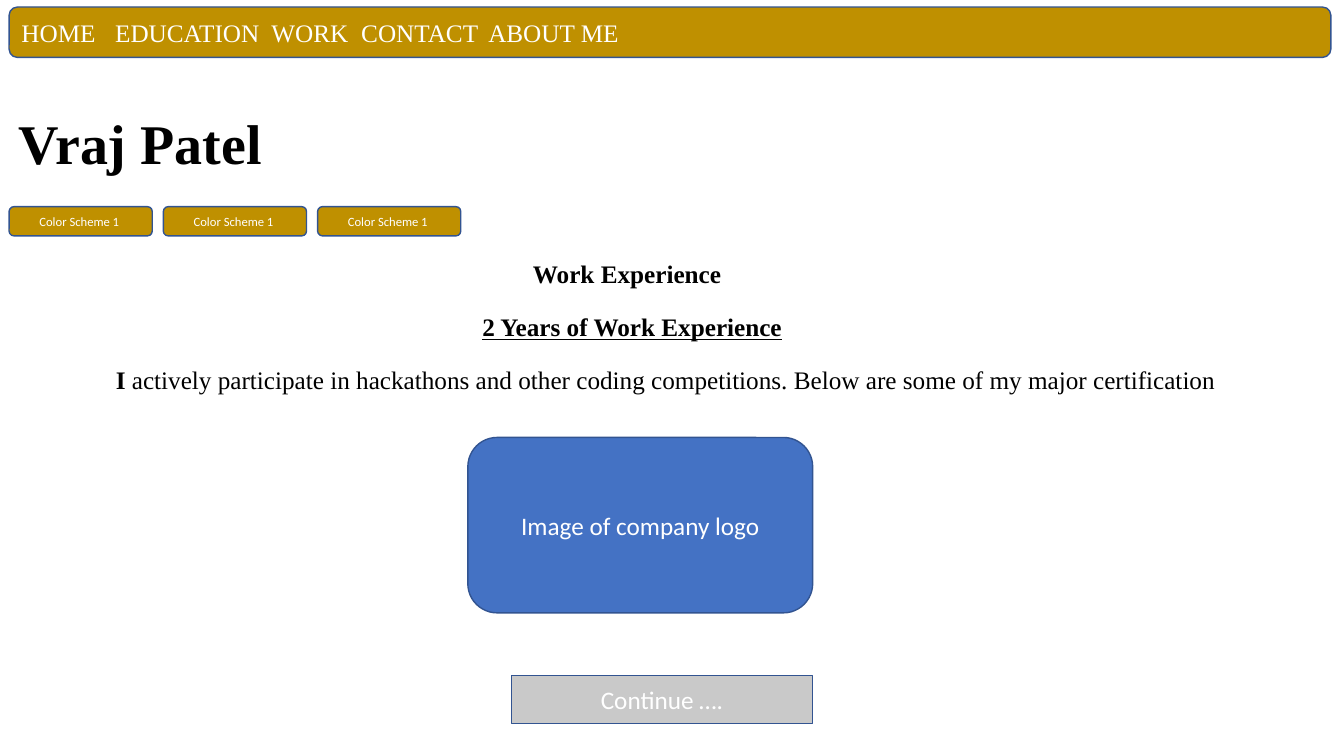
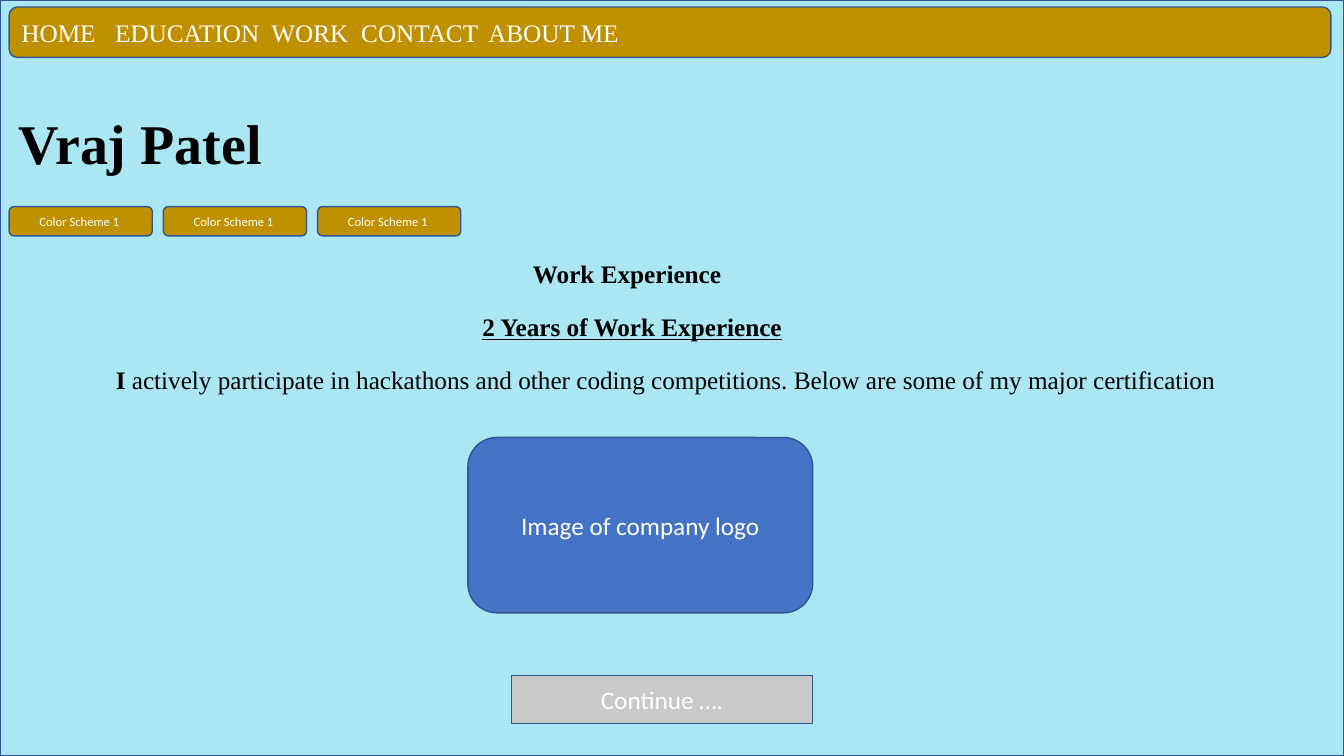
from lxml import etree
from pptx import Presentation
from pptx.dml.color import RGBColor
from pptx.enum.shapes import MSO_SHAPE as Shape
from pptx.enum.text import MSO_ANCHOR as Anchor, MSO_AUTO_SIZE as AutoSize, PP_ALIGN as Align
from pptx.oxml.ns import qn
from pptx.util import Pt

PX = 9144  # 100 px to the inch
SLIDE_WIDTH, SLIDE_HEIGHT = 1333, 750

WHITE = RGBColor(0xFF, 0xFF, 0xFF)
BLACK = RGBColor(0x00, 0x00, 0x00)
GOLD = RGBColor(0xBF, 0x90, 0x00)
BLUE = RGBColor(0x44, 0x72, 0xC4)
GREY = RGBColor(0xC9, 0xC9, 0xC9)
PALE_BLUE = RGBColor(0xAB, 0xE7, 0xF3)
OUTLINE = RGBColor(0x32, 0x54, 0x91)

SERIF, SANS = "Times New Roman", "Calibri"

MENU = ["HOME", "EDUCATION", "WORK", "CONTACT", "ABOUT ME"]
MENU_TABS = [93, 248, 337, 463]
COLOR_BUTTONS = ["Color Scheme 1 "] * 3
BUTTON_LEFT, BUTTON_PITCH = 9, 153


def to_emu(*lengths):
    return [length * PX for length in lengths]


def write_text(paragraph, text, *, size=18, font=SANS, color=WHITE,
               bold=False, underline=False, align=Align.CENTER):
    """Add one run to the paragraph and align the paragraph."""
    paragraph.alignment = align
    run = paragraph.add_run()
    run.text = text
    run.font.size = Pt(size)
    run.font.name = font
    run.font.color.rgb = color
    run.font.bold = bold
    run.font.underline = underline


def add_tab_stops(paragraph, positions):
    tab_list = etree.SubElement(paragraph._p.get_or_add_pPr(), qn("a:tabLst"))
    for position in positions:
        etree.SubElement(tab_list, qn("a:tab"), pos=str(position * PX), algn="l")


def add_box(slide, kind, bounds, fill):
    """Add an outlined shape and return its first paragraph."""
    shape = slide.shapes.add_shape(kind, *to_emu(*bounds))
    shape.shadow.inherit = False
    shape.fill.solid()
    shape.fill.fore_color.rgb = fill
    shape.line.color.rgb = OUTLINE
    shape.line.width = Pt(1)
    shape.text_frame.vertical_anchor = Anchor.MIDDLE
    return shape.text_frame.paragraphs[0]


def add_label(slide, bounds):
    """Add a wrapping text box and return its first paragraph."""
    frame = slide.shapes.add_textbox(*to_emu(*bounds)).text_frame
    frame.word_wrap = True
    frame.auto_size = AutoSize.SHAPE_TO_FIT_TEXT
    return frame.paragraphs[0]


def add_header(slide):
    menu = add_box(slide, Shape.ROUNDED_RECTANGLE, (9, 7, 1311, 50), GOLD)
    add_tab_stops(menu, MENU_TABS)
    write_text(menu, "\t".join(MENU), font=SERIF, align=Align.LEFT)

    name = add_label(slide, (9, 103, 667, 77))
    write_text(name, "Vraj Patel", size=40, font=SERIF, color=BLACK,
               bold=True, align=Align.LEFT)

    for index, caption in enumerate(COLOR_BUTTONS):
        bounds = (BUTTON_LEFT + index * BUTTON_PITCH, 205, 142, 29)
        button = add_box(slide, Shape.ROUNDED_RECTANGLE, bounds, GOLD)
        write_text(button, caption, size=9)


def add_experience(slide):
    body = {"font": SERIF, "color": BLACK}
    heading = add_label(slide, (285, 251, 674, 40))
    write_text(heading, "Work Experience", bold=True, **body)

    years = add_label(slide, (354, 304, 546, 40))
    write_text(years, "2 Years of Work Experience", bold=True, underline=True, **body)

    summary = add_label(slide, (0, 357, 1321, 40))
    write_text(summary, "I", bold=True, **body)
    write_text(summary, " actively participate in hackathons and other coding "
               "competitions. Below are some of my major certification", **body)

    logo_area = add_box(slide, Shape.ROUNDED_RECTANGLE, (464, 434, 342, 174), BLUE)
    write_text(logo_area, "Image of company logo")

    continue_button = add_box(slide, Shape.RECTANGLE, (507, 670, 299, 48), GREY)
    write_text(continue_button, "Continue ….")


def add_work_page(presentation, backdrop=None):
    slide = presentation.slides.add_slide(presentation.slide_layouts[6])
    if backdrop is not None:
        add_box(slide, Shape.RECTANGLE, (0, 0, SLIDE_WIDTH, SLIDE_HEIGHT), backdrop)
    add_header(slide)
    add_experience(slide)


def main():
    presentation = Presentation()
    presentation.slide_width, presentation.slide_height = to_emu(SLIDE_WIDTH, SLIDE_HEIGHT)
    add_work_page(presentation)
    add_work_page(presentation, backdrop=PALE_BLUE)
    presentation.save("out.pptx")


if __name__ == "__main__":
    main()
